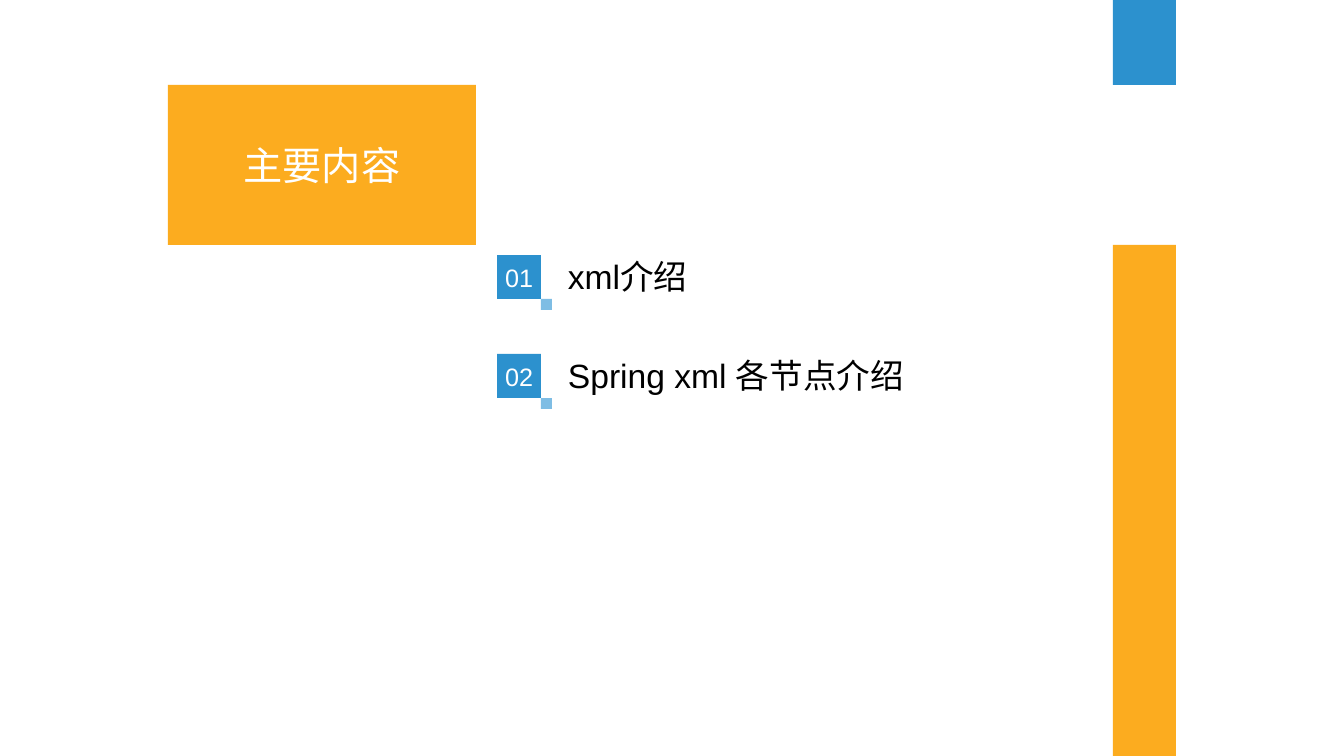
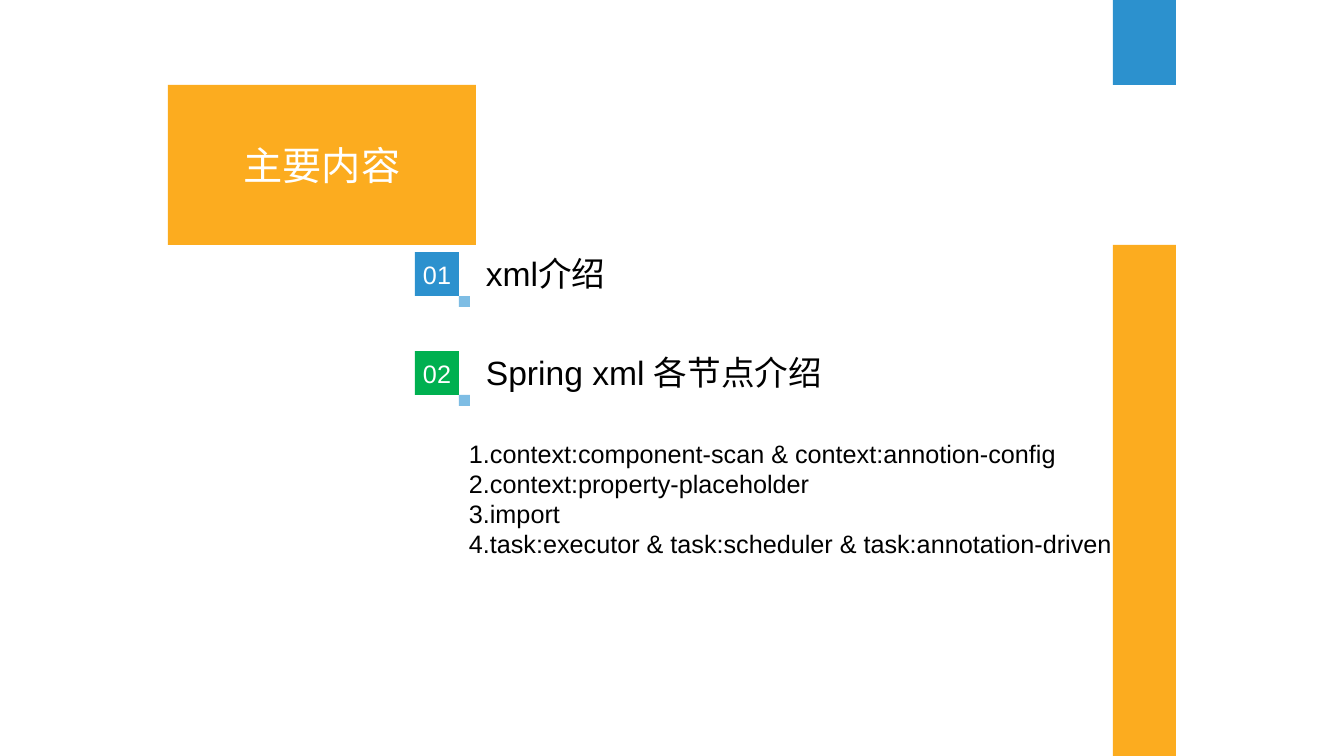
from pptx import Presentation
from pptx.dml.color import RGBColor
from pptx.enum.shapes import MSO_SHAPE
from pptx.enum.text import MSO_ANCHOR, PP_ALIGN
from pptx.util import Emu, Pt

RECTANGLE = MSO_SHAPE.RECTANGLE
MIDDLE, TOP = MSO_ANCHOR.MIDDLE, MSO_ANCHOR.TOP
CENTER, LEFT = PP_ALIGN.CENTER, PP_ALIGN.LEFT

ORANGE = RGBColor(0xFC, 0xAC, 0x1F)
BLUE = RGBColor(0x2C, 0x91, 0xCE)
LIGHT_BLUE = RGBColor(0x7E, 0xBD, 0xE4)
GREEN = RGBColor(0x00, 0xB0, 0x50)
WHITE = RGBColor(0xFF, 0xFF, 0xFF)
BLACK = RGBColor(0x00, 0x00, 0x00)

FONT = "Arial"
EMU_PER_PX = 914400 / 100.8
SLIDE_WIDTH, SLIDE_HEIGHT = 1344, 756

# Shared geometry in px
BAND_LEFT, BAND_WIDTH = 1113, 63
TITLE_LEFT, TITLE_TOP, TITLE_WIDTH, TITLE_HEIGHT = 168, 85, 308, 160
TITLE_BOTTOM = TITLE_TOP + TITLE_HEIGHT
NUMBER_SIZE, DOT_SIZE, ROW_PITCH = 44, 11, 99
LABEL_SHIFT, LABEL_WIDTH, LABEL_HEIGHT = 61, 493, 51

# Content
TITLE = "主要内容"
TOPICS = ["xml介绍", "Spring xml 各节点介绍"]
NODES = [
    "1.context:component-scan & context:annotion-config",
    "2.context:property-placeholder",
    "3.import",
    "4.task:executor & task:scheduler & task:annotation-driven",
]
# Agenda left, agenda top, number colours, detail lines
AGENDAS = [
    (497, 255, [BLUE, BLUE], []),
    (415, 252, [BLUE, GREEN], NODES),
]


def add_box(page, left, top, width, height, fill=None):
    area = [Emu(round(px * EMU_PER_PX)) for px in (left, top, width, height)]
    if fill is None:
        return page.shapes.add_textbox(*area)
    box = page.shapes.add_shape(RECTANGLE, *area)
    box.shadow.inherit = False
    box.fill.solid()
    box.fill.fore_color.rgb = fill
    box.line.fill.background()
    return box


def write(box, lines, size, color, align=LEFT, anchor=MIDDLE):
    frame = box.text_frame
    frame.word_wrap = True
    frame.vertical_anchor = anchor
    for index, line in enumerate(lines):
        para = frame.paragraphs[0] if index == 0 else frame.add_paragraph()
        para.alignment = align
        span = para.add_run()
        span.text = line
        span.font.name = FONT
        span.font.size = Pt(size)
        span.font.color.rgb = color


deck = Presentation()
deck.slide_width = Emu(round(SLIDE_WIDTH * EMU_PER_PX))
deck.slide_height = Emu(round(SLIDE_HEIGHT * EMU_PER_PX))
blank_layout = deck.slide_layouts[6]

for agenda_left, agenda_top, number_colors, details in AGENDAS:
    page = deck.slides.add_slide(blank_layout)

    # Right-hand bands and title block
    add_box(page, BAND_LEFT, 0, BAND_WIDTH, TITLE_TOP, BLUE)
    add_box(page, BAND_LEFT, TITLE_BOTTOM, BAND_WIDTH,
            SLIDE_HEIGHT - TITLE_BOTTOM, ORANGE)
    title_box = add_box(page, TITLE_LEFT, TITLE_TOP, TITLE_WIDTH,
                        TITLE_HEIGHT, ORANGE)
    write(title_box, [TITLE], 28, WHITE, CENTER)

    # Numbered topics
    for row, (topic, color) in enumerate(zip(TOPICS, number_colors)):
        top = agenda_top + row * ROW_PITCH
        number_box = add_box(page, agenda_left, top, NUMBER_SIZE,
                             NUMBER_SIZE, color)
        frame = number_box.text_frame
        frame.margin_left = frame.margin_right = 0
        frame.margin_top = frame.margin_bottom = 0
        write(number_box, [f"{row + 1:02d}"], 18, WHITE, CENTER)
        add_box(page, agenda_left + NUMBER_SIZE, top + NUMBER_SIZE,
                DOT_SIZE, DOT_SIZE, LIGHT_BLUE)
        label_box = add_box(page, agenda_left + LABEL_SHIFT,
                            top + (NUMBER_SIZE - LABEL_HEIGHT) // 2,
                            LABEL_WIDTH, LABEL_HEIGHT)
        write(label_box, [topic], 24, BLACK)

    # Detail list
    if details:
        detail_box = add_box(page, agenda_left + NUMBER_SIZE, 433, 682, 132)
        write(detail_box, details, 18, BLACK, anchor=TOP)

deck.save("out.pptx")
